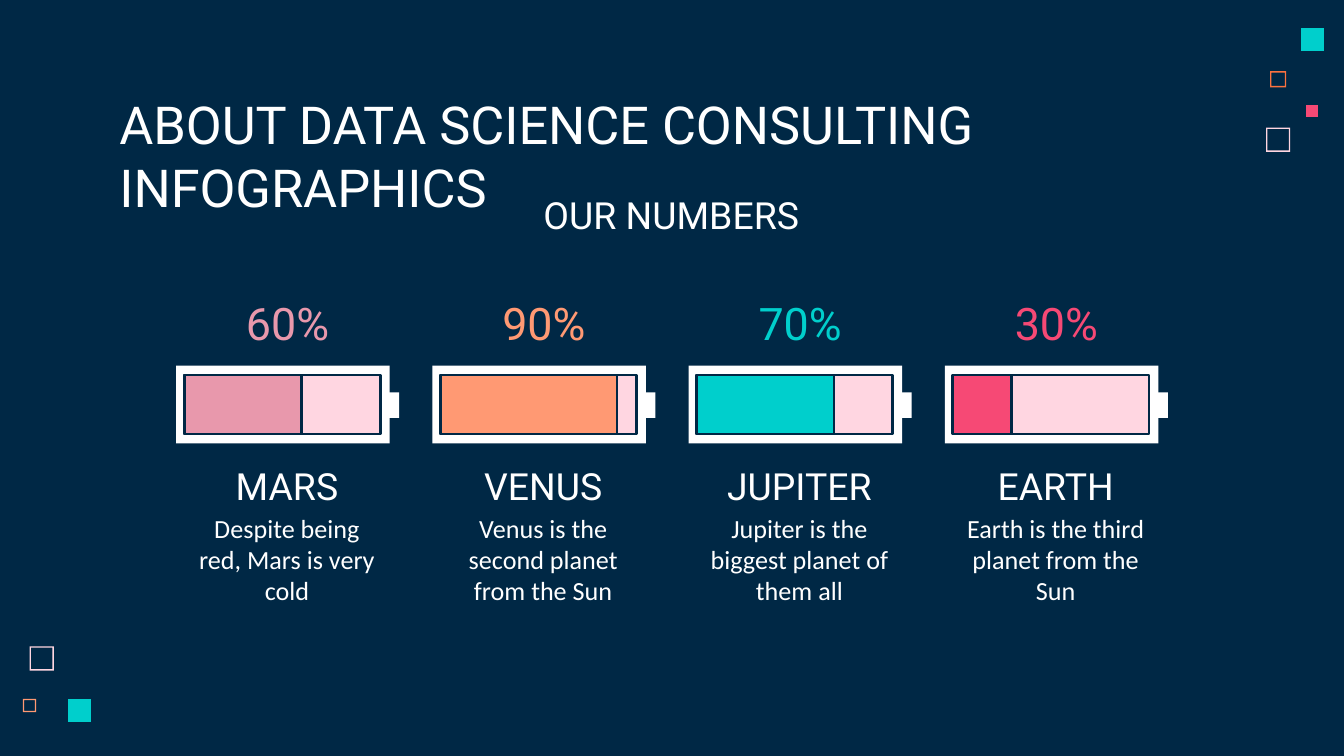
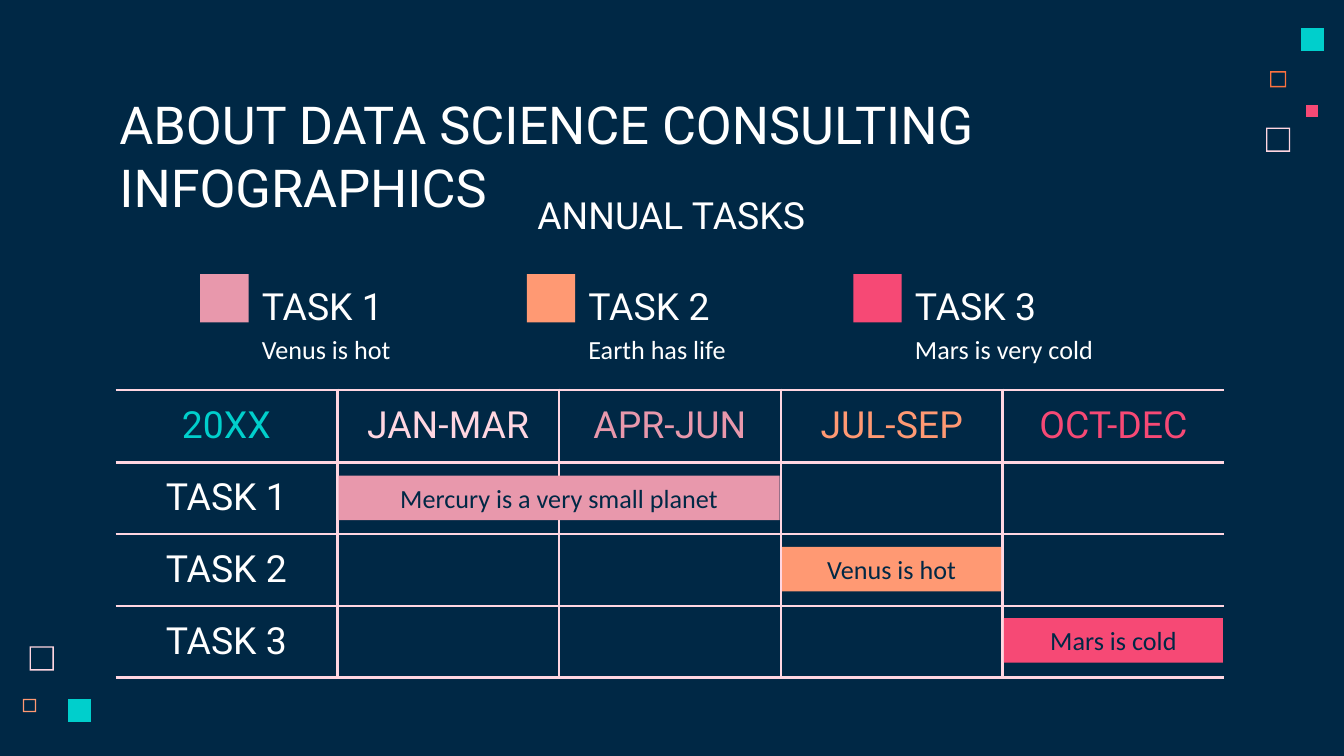
from lxml import etree
from pptx import Presentation
from pptx.dml.color import RGBColor
from pptx.enum import shapes, text
from pptx.oxml import ns
from pptx.util import Inches, Pt

COLORS = {
    "navy": "002845", "white": "FFFFFF", "blush": "FFD6E1", "rose": "E898AC",
    "peach": "FF9973", "orange": "FC723F", "teal": "00CFCC", "pink": "F64975",
}
HEADING, BODY = "Roboto", "Calibri"
TITLE = "ABOUT DATA SCIENCE CONSULTING INFOGRAPHICS"
INSET = 0.1

# Corner squares: left, top, side, rim thickness (0 means solid), colour
SQUARES = [
    (9.42, 0.95, 0.18, 0.01, "blush"),
    (9.45, 0.53, 0.12, 0.01, "orange"),
    (9.68, 0.21, 0.17, 0, "teal"),
    (0.17, 5.2, 0.1, 0.01, "peach"),
    (9.72, 0.78, 0.09, 0, "pink"),
    (0.22, 4.81, 0.18, 0.01, "blush"),
    (0.51, 5.2, 0.17, 0, "teal"),
]

# Planet, percent charged, colour, description
BATTERIES = [
    ("MARS", 60, "rose", "Despite being red, Mars is very cold"),
    ("VENUS", 90, "peach", "Venus is the second planet from the Sun"),
    ("JUPITER", 70, "teal", "Jupiter is the biggest planet of them all"),
    ("EARTH", 30, "pink", "Earth is the third planet from the Sun"),
]

# Task, colour, legend text, bar text, first quarter, quarters spanned
TASKS = [
    ("TASK 1", "rose", "Venus is hot", "Mercury is a very small planet", 1, 2),
    ("TASK 2", "peach", "Earth has life", "Venus is hot", 3, 1),
    ("TASK 3", "pink", "Mars is very cold", "Mars is cold", 4, 1),
]
CALENDAR_HEADER = [
    ("20XX", "teal"), ("JAN-MAR", "blush"), ("APR-JUN", "rose"),
    ("JUL-SEP", "peach"), ("OCT-DEC", "pink"),
]


def rgb(name):
    return RGBColor.from_string(COLORS[name])


def inches(*values):
    return [Inches(value) for value in values]


def write(frame, words, size, font, color, centered=True):
    para = frame.paragraphs[0]
    para.text = words
    para.alignment = text.PP_ALIGN.CENTER if centered else text.PP_ALIGN.LEFT
    para.font.size, para.font.name = Pt(size), font
    para.font.color.rgb = rgb(color)


def set_insets(holder):
    holder.margin_left = holder.margin_right = Inches(INSET)
    holder.margin_top = holder.margin_bottom = Inches(INSET)


def add_text(page, place, words, size, font=HEADING, color="white",
             anchor="TOP", centered=True):
    frame = page.shapes.add_textbox(*inches(*place)).text_frame
    frame.word_wrap = True
    frame.vertical_anchor = text.MSO_ANCHOR[anchor]
    set_insets(frame)
    write(frame, words, size, font, color, centered)


def paint(shape, color):
    shape.shadow.inherit = False
    shape.fill.solid()
    shape.fill.fore_color.rgb = rgb(color)
    shape.line.fill.background()


def add_block(page, place, color, outline=None, kind="RECTANGLE"):
    block = page.shapes.add_shape(shapes.MSO_SHAPE[kind], *inches(*place))
    paint(block, color)
    if outline:
        block.line.color.rgb = rgb(outline)
        block.line.width = Pt(1.5)
    return block


def add_square(page, left, top, side, rim, color):
    right, bottom = left + side, top + side
    builder = page.shapes.build_freeform(*inches(left, top), scale=1.0)
    outer = [(left, bottom), (right, bottom), (right, top)]
    builder.add_line_segments([inches(*point) for point in outer])
    if rim:
        # The hole runs the other way round
        near_x, near_y, far_x, far_y = left + rim, top + rim, right - rim, bottom - rim
        builder.move_to(*inches(far_x, near_y))
        hole = [(far_x, far_y), (near_x, far_y), (near_x, near_y)]
        builder.add_line_segments([inches(*point) for point in hole])
    paint(builder.convert_to_shape(), color)


def add_page(deck, subtitle):
    page = deck.slides.add_slide(deck.slide_layouts[6])
    page.background.fill.solid()
    page.background.fill.fore_color.rgb = rgb("navy")
    for square in SQUARES:
        add_square(page, *square)
    add_text(page, (0.79, 0.59, 8.43, 0.63), TITLE, 28, centered=False)
    add_text(page, (3.47, 1.36, 3.05, 0.5), subtitle, 20, anchor="BOTTOM")
    return page


def add_battery(page, left, planet, percent, color, description):
    add_block(page, (left, 2.72, 1.59, 0.58), "white")
    add_block(page, (left + 1.5, 2.92, 0.16, 0.19), "white")
    width = 1.46
    for share, shade in ((1, "blush"), (percent / 100, color)):
        add_block(page, (left + 0.06, 2.79, width * share, 0.44), shade, "navy")
    add_text(page, (left + 0.03, 3.38, 1.59, 0.5), planet, 20, anchor="BOTTOM")
    add_text(page, (left + 0.03, 3.71, 1.59, 0.74), description, 14, BODY)
    add_text(page, (left + 0.41, 2.15, 0.84, 0.5), f"{percent}%", 24,
             color=color, anchor="MIDDLE")


def set_borders(cell, sides):
    properties = cell._tc.get_or_add_tcPr()
    for side in "LRTB":
        line = etree.SubElement(properties, ns.qn(f"a:ln{side}"), w=str(Pt(1.5)))
        if side in sides:
            fill = etree.SubElement(line, ns.qn("a:solidFill"))
            etree.SubElement(fill, ns.qn("a:srgbClr"), val=COLORS["blush"])
        else:
            etree.SubElement(line, ns.qn("a:noFill"))


def add_calendar(page):
    left, top, column, heights = 0.86, 2.9, 1.65, (0.54, 0.53, 0.53, 0.53)
    count = len(CALENDAR_HEADER)
    rows = [CALENDAR_HEADER]
    rows += [[(task[0], "white")] + [("", "white")] * (count - 1) for task in TASKS]
    place = inches(left, top, column * count, sum(heights))
    table = page.shapes.add_table(len(rows), count, *place).table
    table.first_row = table.horz_banding = False
    for table_column in table.columns:
        table_column.width = Inches(column)
    for r, row in enumerate(rows):
        table.rows[r].height = Inches(heights[r])
        for c, (words, color) in enumerate(row):
            cell = table.cell(r, c)
            set_insets(cell)
            cell.vertical_anchor = text.MSO_ANCHOR.MIDDLE
            write(cell.text_frame, words, 20, HEADING, color)
            # Outer left and right edges stay open
            set_borders(cell, "TB" + "L" * (c > 0) + "R" * (c < count - 1))
            cell.fill.background()

    # Bars over the quarters each task takes
    gap = 0.01
    for i, (_, color, _, words, first, span) in enumerate(TASKS):
        bar_place = (left + column * first + gap, 3.54 + 0.53 * i,
                     column * span - 2 * gap, 0.33)
        bar = add_block(page, bar_place, color, kind="ROUNDED_RECTANGLE")
        bar.adjustments[0] = 0
        bar.text_frame.word_wrap = True
        bar.text_frame.vertical_anchor = text.MSO_ANCHOR.MIDDLE
        set_insets(bar.text_frame)
        write(bar.text_frame, words, 14, BODY, "navy")


def add_legend(page):
    for i, (name, color, note, *_) in enumerate(TASKS):
        left, top, side = 1.49 + 2.43 * i, 2.04, 0.36
        add_block(page, (left, top, side, side), color)
        add_text(page, (left + side, top, 1.8, 0.5), name, 20,
                 anchor="BOTTOM", centered=False)
        add_text(page, (left + side, top + 0.34, 1.8, 0.3), note, 14, BODY,
                 centered=False)


def main():
    deck = Presentation()
    deck.slide_width, deck.slide_height = inches(10, 5.625)

    # Batteries
    page = add_page(deck, "OUR NUMBERS")
    pitch = (7.03 - 1.31) / (len(BATTERIES) - 1)
    for i, battery in enumerate(BATTERIES):
        add_battery(page, 1.31 + pitch * i, *battery)

    # Year plan
    page = add_page(deck, "ANNUAL TASKS")
    add_calendar(page)
    add_legend(page)

    deck.save("out.pptx")


if __name__ == "__main__":
    main()
